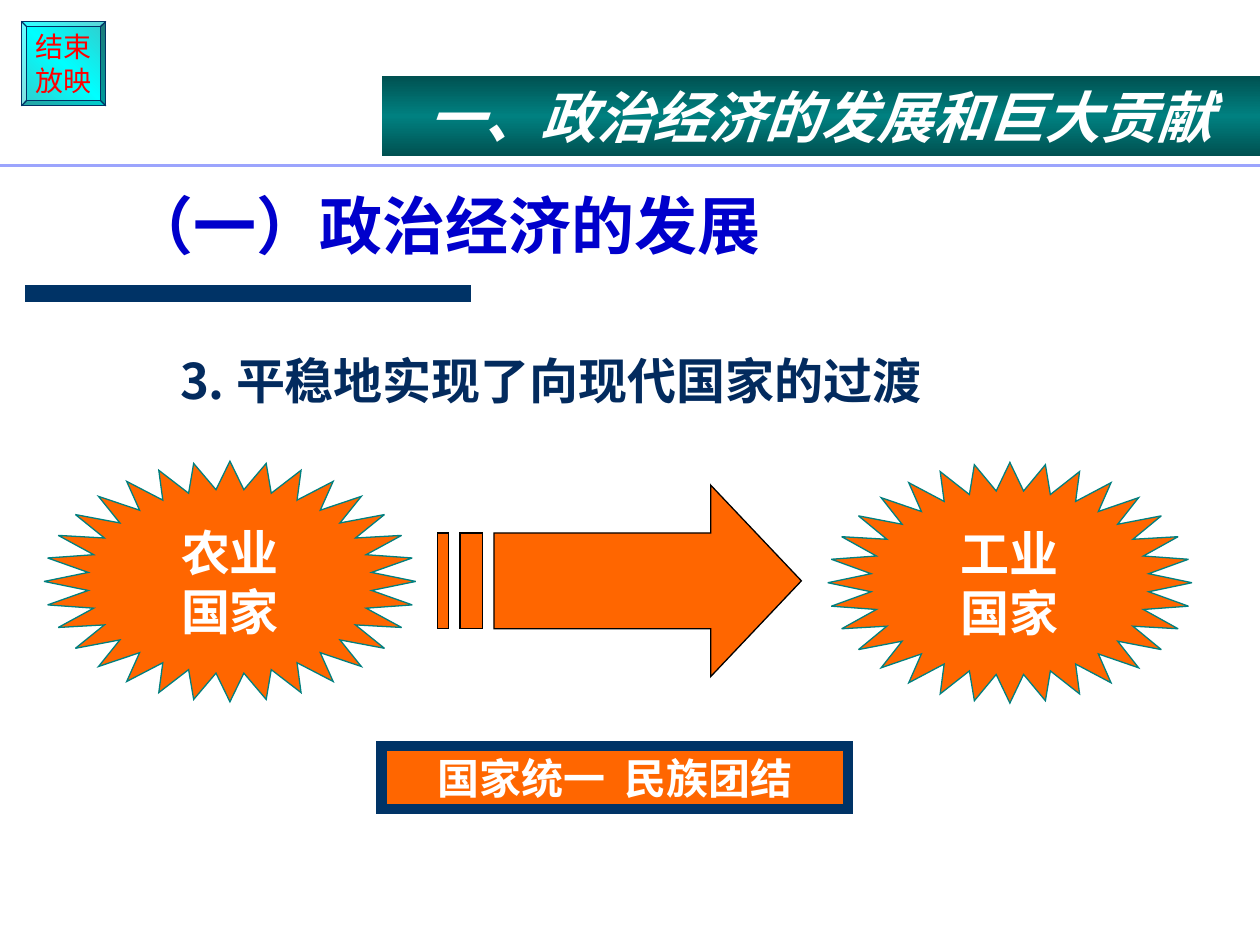
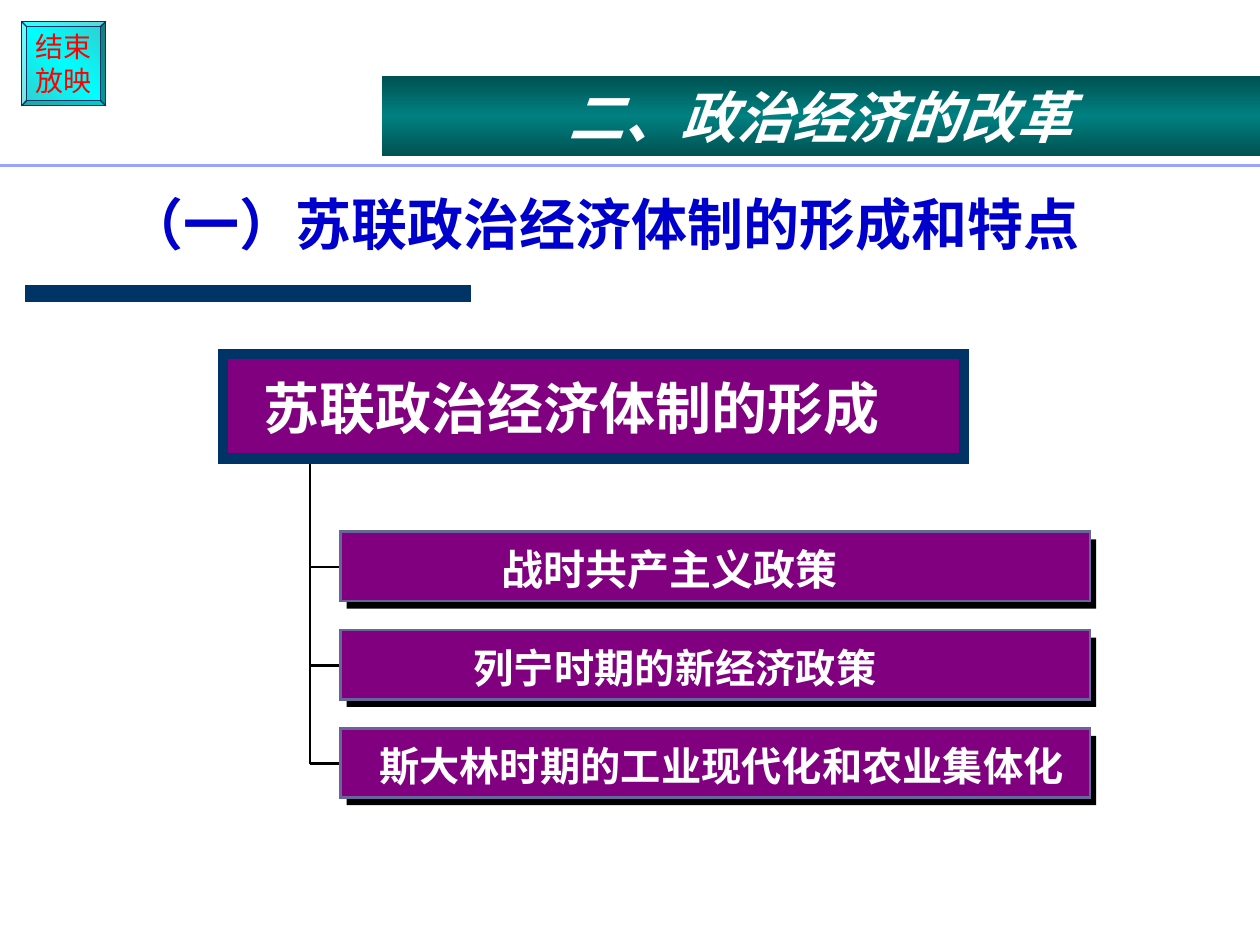
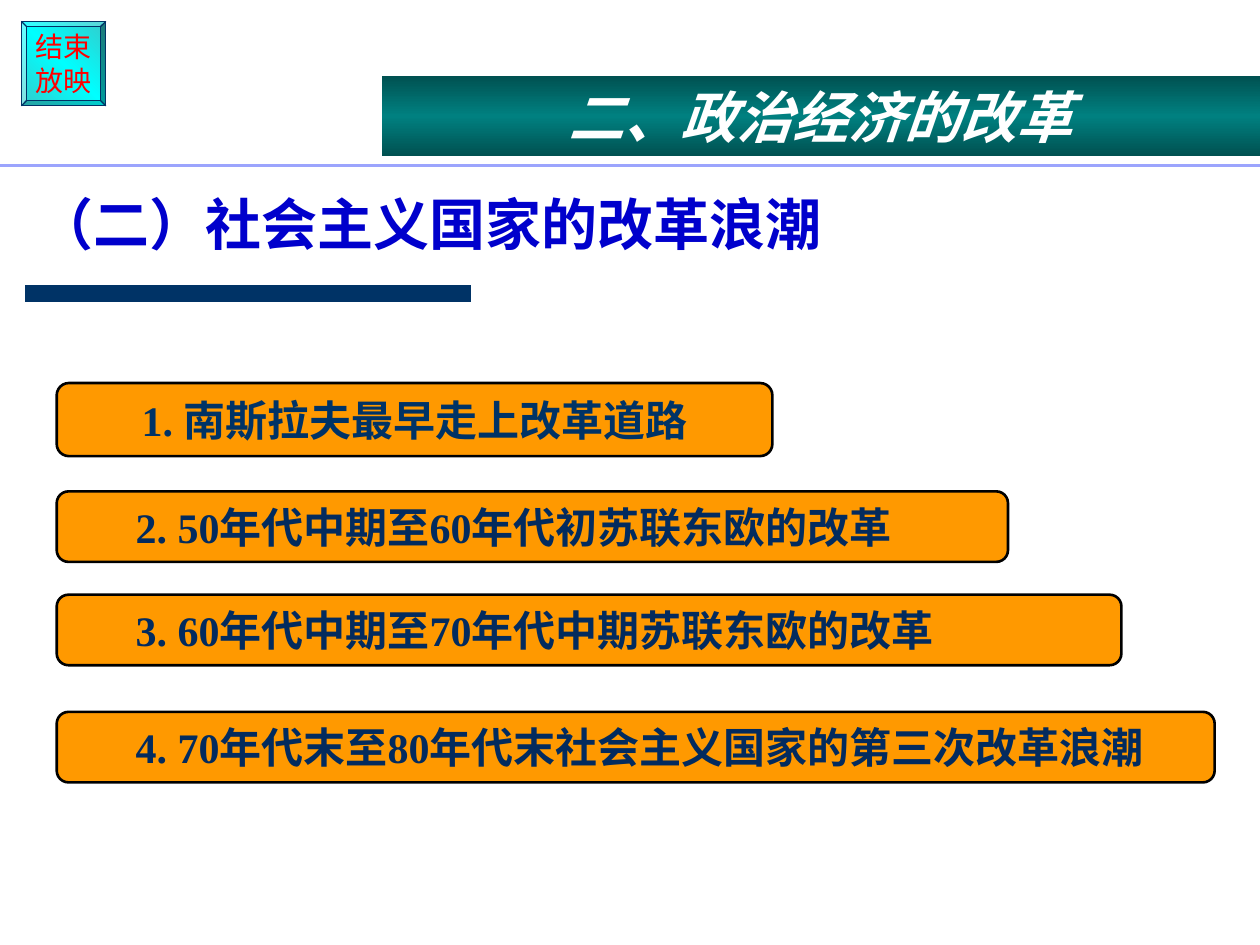
from copy import deepcopy
from itertools import groupby

from lxml import etree
from pptx import Presentation
from pptx import util as u
from pptx.dml.color import RGBColor
from pptx.enum import shapes, text
from pptx.oxml.ns import qn

SANS, LATIN, SERIF = "Noto Sans CJK SC", "Arial", "Times New Roman"
NAVY, INK, BLUE, RULE = "003366", "032B5E", "0000CC", "9BA4FD"
ORANGE, AMBER, PURPLE, SLATE = "FF6600", "FF9900", "800080", "666699"
TEAL, WHITE, BLACK, RED = "008080", "FFFFFF", "000000", "FF0000"
BAND_STOPS = ("005151", TEAL, "005151")
BUTTON_STOPS = ("33CCCC", "00FFFF", "33CCCC")
SHAPE, ALIGN, ANCHOR = shapes.MSO_SHAPE, text.PP_ALIGN, text.MSO_ANCHOR


def color(value):
    """Turn a hex string into a colour."""
    return RGBColor.from_string(value)


def write(box, content, *, size, font=SANS, digits=None, ink=WHITE, bold=True, italic=False,
          align=ALIGN.CENTER, anchor=ANCHOR.MIDDLE, wrap=True, spacing=None,
          inset=(0.1, 0.05, 0.1, 0.05)):
    """Fill a shape with text, one paragraph a line; digits names a font for ASCII parts."""
    frame = box.text_frame
    frame.word_wrap, frame.vertical_anchor = wrap, anchor
    (frame.margin_left, frame.margin_top,
     frame.margin_right, frame.margin_bottom) = map(u.Inches, inset)
    for index, line in enumerate(content.split("\n")):
        para = frame.add_paragraph() if index else frame.paragraphs[0]
        para.alignment, para.line_spacing = align, spacing
        for ascii_part, letters in groupby(line, lambda letter: bool(digits) and letter.isascii()):
            span = para.add_run()
            span.text = "".join(letters)
            span.font.name = digits if ascii_part else font
            span.font.size, span.font.bold, span.font.italic = u.Pt(size), bold, italic
            span.font.color.rgb = color(ink)
            east = etree.SubElement(span.font._element, qn("a:ea"))
            east.set("typeface", font)


class Deck:
    """Holds the shared style and the current slide."""

    def __init__(self):
        """Start an empty 10 by 7.5 inch deck."""
        self.file = Presentation()
        self.file.slide_width, self.file.slide_height = u.Inches(10), u.Inches(7.5)
        self.page = None

    def add_page(self, heading, title, title_at, title_size):
        """Add a slide with its button, heading band, rules and title."""
        self.page = self.file.slides.add_slide(self.file.slide_layouts[6])
        self.line(0.2, 2.33, 3.74, 2.33, NAVY, 10)
        button = self.shape(SHAPE.BEVEL, 0.17, 0.17, 0.67, 0.67, BUTTON_STOPS, NAVY, angle=135)
        button.adjustments[0] = 0.06
        write(button, "结束\n放映", size=16, font=LATIN, ink=RED, bold=False, wrap=False)
        band = self.shape(SHAPE.RECTANGLE, 3.03, 0.6, 6.97, 0.64, BAND_STOPS)
        write(band, heading, size=32, italic=True)
        self.line(0, 1.31, 10, 1.31, RULE, 1.75)
        self.text(title, *title_at, size=title_size, ink=BLUE, anchor=ANCHOR.BOTTOM, spacing=0.9)

    def paint(self, shape, fill, line=None, width=0.75, angle=90):
        """Give a shape a plain or three-stop fill, a sharp outline and no shadow."""
        shape.shadow.inherit = False
        if isinstance(fill, tuple):
            shape.fill.gradient()
            shape.fill.gradient_angle = 360 - angle
            stops = shape._element.spPr.find(".//" + qn("a:gsLst"))
            stops.append(deepcopy(stops[-1]))
            for index, stop in enumerate(shape.fill.gradient_stops):
                stop.position, stop.color.rgb = index / 2, color(fill[index])
        else:
            shape.fill.solid()
            shape.fill.fore_color.rgb = color(fill)
        if line:
            shape.line.color.rgb, shape.line.width = color(line), u.Pt(width)
            corner = etree.SubElement(shape._element.spPr.find(qn("a:ln")), qn("a:miter"))
            corner.set("lim", "800000")
        else:
            shape.line.fill.background()
        return shape

    def shape(self, kind, left, top, width, height, fill, line=None, weight=0.75, angle=90):
        """Add a preset shape."""
        shape = self.page.shapes.add_shape(kind, *map(u.Inches, (left, top, width, height)))
        return self.paint(shape, fill, line, weight, angle)

    def outline(self, contours, fill, line):
        """Add one freeform made of closed contours."""
        builder = None
        for contour in contours:
            start, *rest = [(u.Inches(x), u.Inches(y)) for x, y in contour]
            if builder:
                builder.move_to(*start)
            else:
                builder = self.page.shapes.build_freeform(*start)
            builder.add_line_segments(rest, close=True)
        return self.paint(builder.convert_to_shape(), fill, line)

    def line(self, x1, y1, x2, y2, ink, width):
        """Add a straight line without shadow."""
        line = self.page.shapes.add_connector(
            shapes.MSO_CONNECTOR.STRAIGHT, *map(u.Inches, (x1, y1, x2, y2)))
        line.line.color.rgb, line.line.width = color(ink), u.Pt(width)
        etree.SubElement(line._element.spPr, qn("a:effectLst"))

    def text(self, content, left, top, width, height, **style):
        """Add a left-aligned text box."""
        box = self.page.shapes.add_textbox(*map(u.Inches, (left, top, width, height)))
        write(box, content, align=ALIGN.LEFT, **style)

    def burst(self, content, left, top, width, height):
        """Add a 32-point star with a label."""
        star = self.shape(SHAPE.STAR_32_POINT, left, top, width, height, ORANGE, TEAL)
        star.adjustments[0] = 0.383
        write(star, content, size=28, font=LATIN)


def transition_page(deck):
    """Show the passage from farming to industry."""
    deck.add_page("一、政治经济的发展和巨大贡献", "（一）政治经济的发展", (0.94, 1.63, 8.26, 0.51), 36)
    deck.text("3. 平稳地实现了向现代国家的过渡", 0.83, 2.73, 8.42, 4.17, size=28, ink=INK,
              anchor=ANCHOR.TOP, inset=(0.6, 0.05, 0.1, 0.05))
    deck.burst("农业\n国家", 0.35, 3.66, 2.95, 1.91)
    deck.burst("工业\n国家", 6.57, 3.67, 2.89, 1.91)
    top, bottom = 4.23, 4.99
    arrow = [(3.92, top), (5.64, top), (5.64, 3.85), (6.36, 4.61),
             (5.64, 5.37), (5.64, bottom), (3.92, bottom)]
    stripes = [[(left, top), (right, top), (right, bottom), (left, bottom)]
               for left, right in ((3.47, 3.56), (3.65, 3.83))]
    deck.outline([arrow, *stripes], ORANGE, BLACK)
    unity = deck.shape(SHAPE.RECTANGLE, 3.03, 5.92, 3.7, 0.5, ORANGE, NAVY, 6)
    write(unity, "国家统一  民族团结", size=24)


def formation_page(deck):
    """Show the three stages of the system as a tree."""
    deck.add_page("二、政治经济的改革", "（一）苏联政治经济体制的形成和特点", (0.91, 1, 8.51, 1.09), 32)
    stages = [("战时共产主义政策", 3.98, 2.67, 24),
              ("列宁时期的新经济政策", 3.76, 3.2, 23),
              ("斯大林时期的工业现代化和农业集体化", 3.01, 5.44, 23)]
    flush = {"wrap": False, "inset": (0, 0, 0, 0)}
    trunk = 2.46
    deck.line(trunk, 3.64, trunk, 6.06, BLACK, 1.5)
    for index, (stage, left, width, size) in enumerate(stages):
        top = 4.22 + 0.78 * index
        deck.line(trunk, top + 0.28, 2.7, top + 0.28, BLACK, 1.5)
        deck.shape(SHAPE.RECTANGLE, 2.75, top + 0.06, 5.95, 0.55, BLACK)
        deck.shape(SHAPE.RECTANGLE, 2.7, top, 5.95, 0.55, PURPLE, SLATE, 1.5)
        deck.text(stage, left, top + 0.1, width, 0.39, size=size, **flush)
    deck.shape(SHAPE.RECTANGLE, 1.77, 2.81, 5.88, 0.83, PURPLE, NAVY, 6)
    deck.text("苏联政治经济体制的形成", 2.09, 2.97, 4.9, 0.53, size=32, **flush)


def reform_page(deck):
    """List the waves of reform in bars of growing length."""
    deck.add_page("二、政治经济的改革", "（二）社会主义国家的改革浪潮", (0.2, 1, 8.51, 1.09), 32)
    centred = {"ink": NAVY, "wrap": False}
    indented = {"ink": INK, "align": ALIGN.LEFT, "inset": (0.6, 0.05, 0.1, 0.05)}
    waves = [("1. 南斯拉夫最早走上改革道路", 3.04, 5.68, 0.58, centred),
             ("2. 50年代中期至60年代初苏联东欧的改革", 3.9, 7.55, 0.56, indented),
             ("3. 60年代中期至70年代中期苏联东欧的改革", 4.72, 8.45, 0.56, indented),
             ("4. 70年代末至80年代末社会主义国家的第三次改革浪潮", 5.65, 9.19, 0.56, indented)]
    for wave, top, width, height, style in waves:
        bar = deck.shape(SHAPE.FLOWCHART_ALTERNATE_PROCESS, 0.45, top, width, height,
                         AMBER, BLACK, 1.5)
        write(bar, wave, size=24, font=LATIN, digits=SERIF, **style)


def main():
    """Build and save the deck."""
    deck = Deck()
    for build in (transition_page, formation_page, reform_page):
        build(deck)
    deck.file.save("out.pptx")


if __name__ == "__main__":
    main()
